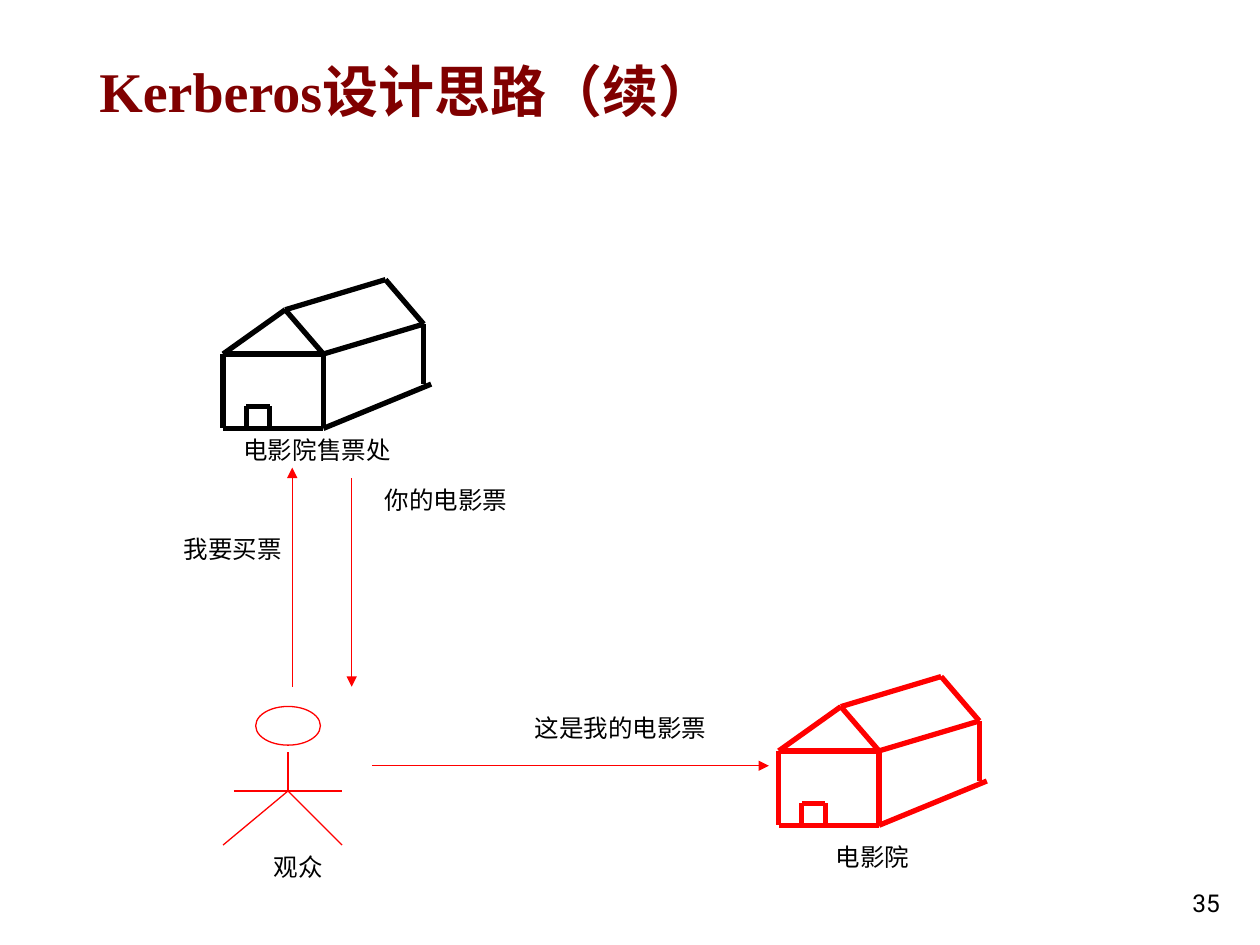
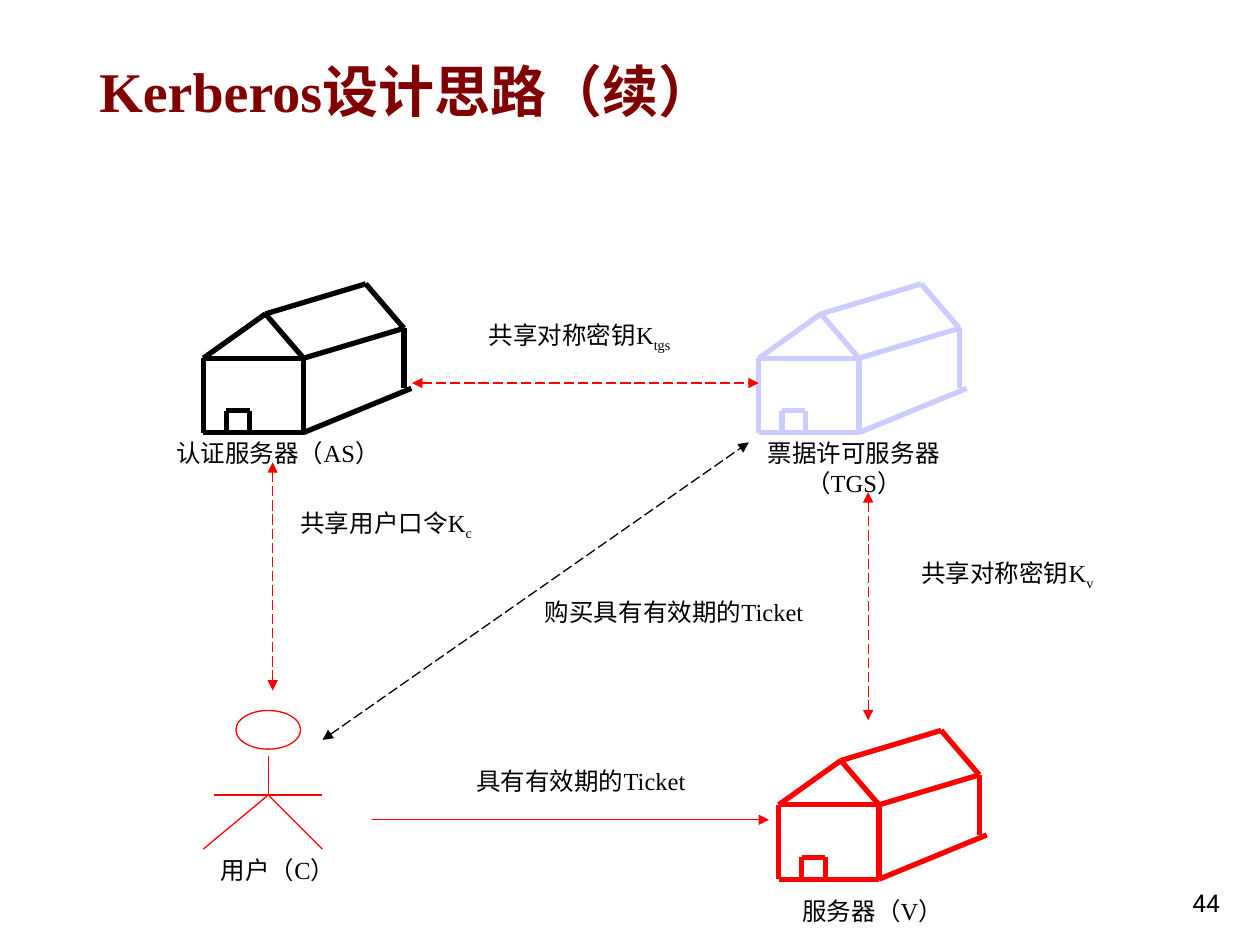
from dataclasses import dataclass

from lxml.etree import SubElement
from pptx import Presentation
from pptx.dml.color import RGBColor as RGB
from pptx.enum.dml import MSO_LINE
from pptx.enum.shapes import MSO_CONNECTOR, MSO_SHAPE
from pptx.enum.text import MSO_ANCHOR, PP_ALIGN
from pptx.oxml.ns import qn
from pptx.util import Pt


@dataclass(frozen=True)
class Theme:
    title: RGB = RGB(0x80, 0x00, 0x00)
    black: RGB = RGB(0x00, 0x00, 0x00)
    red: RGB = RGB(0xFF, 0x00, 0x00)
    lilac: RGB = RGB(0xCC, 0xCC, 0xFF)
    serif: str = "Times New Roman"
    sans: str = "Roboto"
    title_size: float = 32
    body_size: float = 14
    thin: float = 0.75
    thick: float = 3


T = Theme()
TITLE = "Kerberos设计思路（续）"
LABEL_W, LABEL_H = 142, 24.3

# House strokes, from the left wall and the top of the roof
RIDGE, RIDGE_END = (35.5, 17.2), (92.8, 0)
EAVE_L, EAVE_R, EAVE_END = (0, 42.5), (57.3, 42.5), (114.6, 25.4)
BASE_L, BASE_R, BASE_END = (0, 85), (57.3, 85), (118.9, 59.7)
CORNER_END = (114.6, 59.7)
DOOR = [(13.2, 85), (13.2, 72.4), (26.6, 72.4), (26.6, 85)]
HOUSE = [
    (RIDGE, EAVE_L), (RIDGE, EAVE_R), (EAVE_L, EAVE_R),
    (RIDGE, RIDGE_END), (RIDGE_END, EAVE_END), (EAVE_R, EAVE_END),
    (EAVE_L, BASE_L), (EAVE_R, BASE_R), (BASE_L, BASE_R),
    (BASE_R, BASE_END), (EAVE_END, CORNER_END), *zip(DOOR, DOOR[1:]),
]

# Person strokes, from the left foot and the top of the head
HEAD = (18.6, 0, 37, 22.1)
NECK, HIP = (37.1, 26.3), (37.1, 48.3)
PERSON = [
    (NECK, HIP), (HIP, (0, 79.2)), (HIP, (68, 79.2)),
    ((6.2, 48.3), (68, 48.3)),
]


class Deck:
    def __init__(self):
        self.prs = Presentation()
        self.prs.slide_width, self.prs.slide_height = Pt(720), Pt(540)
        self.s = None

    def slide(self, number):
        self.s = self.prs.slides.add_slide(self.prs.slide_layouts[6])
        self.text(TITLE, 49.7, 28.8, 621.4, 104.4, size=T.title_size,
                  color=T.title, bold=True, align=PP_ALIGN.LEFT)
        self.text(str(number), 554.4, 491.8, 149.8, 36, font=T.sans,
                  align=PP_ALIGN.RIGHT, anchor=MSO_ANCHOR.BOTTOM)

    def text(self, text, x, y, w=LABEL_W, h=LABEL_H, sub="", size=T.body_size,
             color=T.black, font=T.serif, bold=False,
             align=PP_ALIGN.CENTER, anchor=MSO_ANCHOR.TOP):
        tf = self.s.shapes.add_textbox(Pt(x), Pt(y), Pt(w), Pt(h)).text_frame
        tf.word_wrap = True
        tf.vertical_anchor = anchor
        p = tf.paragraphs[0]
        p.alignment = align
        p.font.name, p.font.size, p.font.bold = font, Pt(size), bold
        p.font.color.rgb = color
        p.add_run().text = text
        if sub:
            r = p.add_run()
            r.text = sub
            r.font._element.set("baseline", "-25000")

    def line(self, start, end, color, width=T.thin, shapes=None):
        shapes = self.s.shapes if shapes is None else shapes
        c = shapes.add_connector(MSO_CONNECTOR.STRAIGHT,
                                 *map(Pt, (*start, *end)))
        c.line.color.rgb = color
        c.line.width = Pt(width)
        SubElement(c._element.spPr, qn("a:effectLst"))
        return c

    def arrow(self, start, end, color=T.red, both=False):
        c = self.line(start, end, color)
        if both:
            c.line.dash_style = MSO_LINE.LONG_DASH
        ln = c.line._get_or_add_ln()
        for tag in ("a:headEnd", "a:tailEnd") if both else ("a:tailEnd",):
            SubElement(ln, qn(tag), type="triangle")

    def strokes(self, strokes, x, y, color, width):
        shapes = self.s.shapes.add_group_shape().shapes
        for (x1, y1), (x2, y2) in strokes:
            self.line((x + x1, y + y1), (x + x2, y + y2), color, width, shapes)
        return shapes

    def house(self, x, y, color):
        self.strokes(HOUSE, x, y, color, T.thick)

    def person(self, x, y):
        shapes = self.strokes(PERSON, x, y, T.red, T.thin)
        dx, dy, w, h = HEAD
        head = shapes.add_shape(MSO_SHAPE.OVAL, Pt(x + dx), Pt(y + dy),
                                Pt(w), Pt(h))
        head.shadow.inherit = False
        head.fill.background()
        head.line.color.rgb = T.red
        head.line.width = Pt(T.thin)


def cinema(d):
    d.slide(35)
    # Places and people
    d.house(445, 386.6, T.red)
    d.text("电影院", 427.7, 477.4)
    d.house(127.5, 159.8, T.black)
    d.text("电影院售票处", 110.2, 244.8)
    d.person(127.5, 403.7)
    d.text("观众", 99.4, 483.1)
    # Buying and showing the ticket
    d.arrow((167, 392.4), (167, 267.2))
    d.text("我要买票", 87.8, 301.7, 90.7)
    d.arrow((201, 273.4), (201, 392.4))
    d.text("你的电影票", 200.9, 273.6, 108)
    d.arrow((212.6, 437.6), (439.4, 437.6))
    d.text("这是我的电影票", 286.6, 403.9, 136)


def servers(d):
    d.slide(44)
    # Servers and user
    d.house(433.6, 162.2, T.lilac)
    d.text("票据许可服务器（TGS）", 416.9, 247, h=41)
    d.house(445, 417.4, T.red)
    d.text("服务器（V）", 427.7, 508.3)
    d.house(116.2, 162.2, T.black)
    d.text("认证服务器（AS）", 87.8, 247)
    d.person(116.2, 406)
    d.text("用户（C）", 87.8, 485.3)
    # Tickets
    d.arrow((212.6, 468.5), (439.4, 468.5))
    d.text("具有有效期的Ticket", 241.2, 434.4, 181.4)
    d.arrow((184.3, 422.8), (427.9, 252.8), T.black, both=True)
    d.text("购买具有有效期的Ticket", 297.4, 337.7, 175.7)
    # Shared keys
    d.arrow((235.4, 218.9), (433.6, 218.9), both=True)
    d.text("共享对称密钥K", 252, 179.3, 158.4, sub="tgs")
    d.arrow((496.1, 281.2), (496.1, 411.6), both=True)
    d.text("共享对称密钥K", 496.1, 315.4, 159.1, sub="v")
    d.arrow((155.8, 394.6), (155.8, 264.2), both=True)
    d.text("共享用户口令K", 161.3, 286.6, 118.8, sub="c")


def main():
    d = Deck()
    cinema(d)
    servers(d)
    d.prs.save("out.pptx")


if __name__ == "__main__":
    main()
